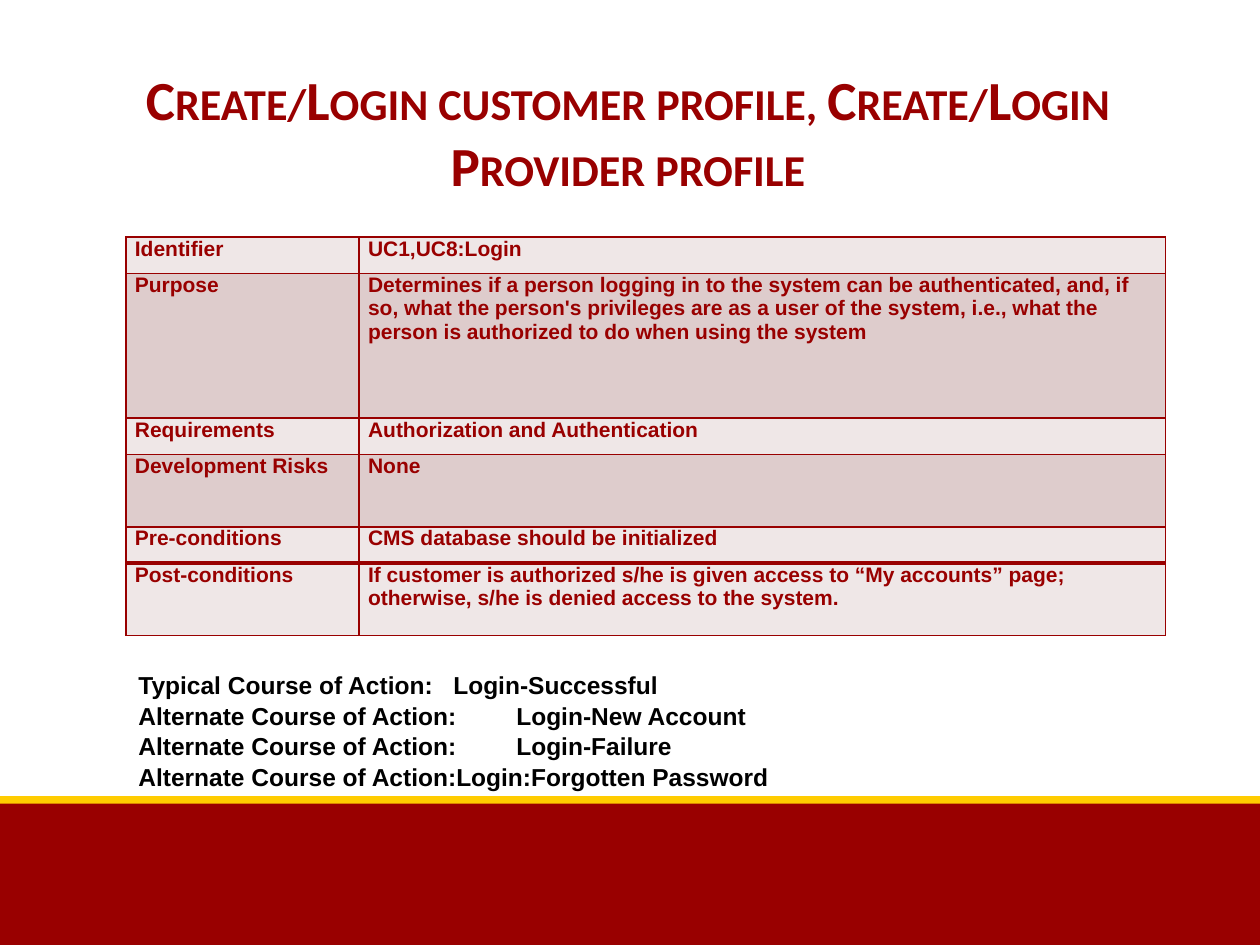
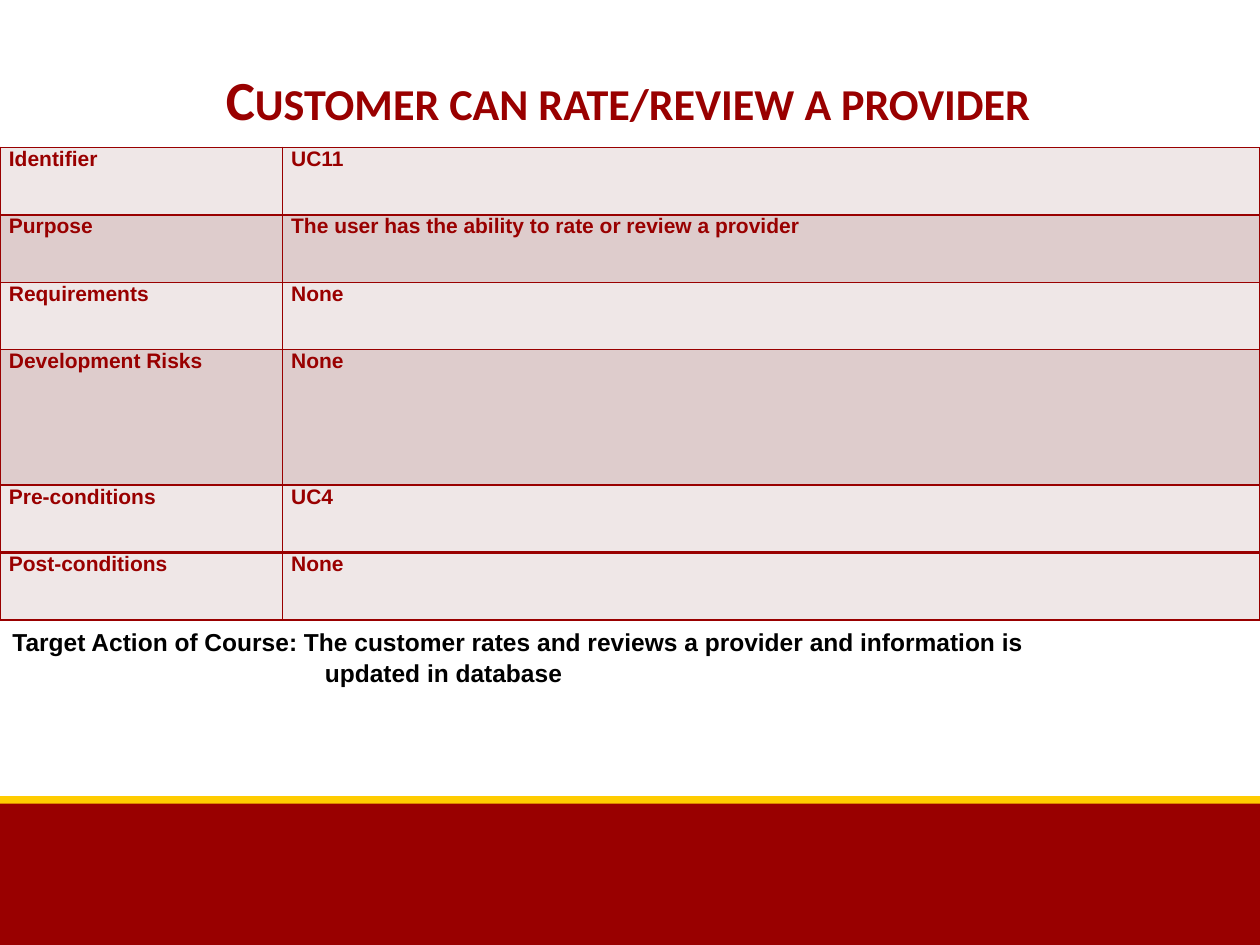
from dataclasses import dataclass

from lxml import etree
from pptx import Presentation
from pptx.dml.color import RGBColor
from pptx.enum.shapes import MSO_SHAPE
from pptx.enum.text import MSO_ANCHOR, PP_ALIGN
from pptx.oxml.ns import qn
from pptx.slide import Slide
from pptx.table import _Cell
from pptx.text.text import _Paragraph
from pptx.util import Cm, Pt

RECTANGLE = MSO_SHAPE.RECTANGLE
TOP = MSO_ANCHOR.TOP
LEFT, CENTER = PP_ALIGN.LEFT, PP_ALIGN.CENTER

CRIMSON = RGBColor(0x99, 0x00, 0x00)
GOLD = RGBColor(0xFF, 0xCC, 0x00)
BLACK = RGBColor(0x00, 0x00, 0x00)
PALE_ROW = RGBColor(0xEF, 0xE7, 0xE7)
DARK_ROW = RGBColor(0xDE, 0xCC, 0xCC)
ROW_FILLS = (PALE_ROW, DARK_ROW, PALE_ROW, DARK_ROW, PALE_ROW, PALE_ROW)

BODY_FONT, TITLE_FONT = "Arial", "Calibri"
ROW_LABELS = ("Identifier", "Purpose", "Requirements", "Development Risks",
              "Pre-conditions", "Post-conditions")
PAGE_WIDTH, PAGE_HEIGHT = 25.4, 19.05


@dataclass(frozen=True)
class Area:
    """A rectangle on the page, in centimetres."""
    left: float
    top: float
    width: float
    height: float


@dataclass(frozen=True)
class Band:
    """A full-width coloured strip of the footer."""
    area: Area
    color: RGBColor


@dataclass(frozen=True)
class ActionLine:
    """One line below the table, with an optional left indent."""
    text: str
    indent: float = 0


@dataclass(frozen=True)
class UseCase:
    """The content and measures of one use case page."""
    title: str
    table_area: Area
    label_width: float
    row_heights: tuple[float, ...]
    values: tuple[str, ...]
    action_area: Area
    actions: tuple[ActionLine, ...]


BANDS = (
    Band(Area(0, 16.13, PAGE_WIDTH, 2.92), CRIMSON),
    Band(Area(0, 16.05, PAGE_WIDTH, 0.15), GOLD),
)
TITLE_AREA = Area(1.19, 1.14, 22.94, 2.9)
ACTION_TAB = 8.5

USE_CASES = (
    UseCase(
        title="Create/Login customer profile, Create/Login Provider profile",
        table_area=Area(2.54, 4.78, 20.96, 8.05),
        label_width=4.7,
        row_heights=(0.73, 2.92, 0.73, 1.46, 0.73, 1.46),
        values=(
            "UC1,UC8:Login",
            "Determines if a person logging in to the system can be "
            "authenticated, and, if so, what the person's privileges are as a "
            "user of the system, i.e., what the person is authorized to do "
            "when using the system",
            "Authorization and Authentication",
            "None",
            "CMS database should be initialized",
            "If customer is authorized s/he is given access to “My accounts” "
            "page; otherwise, s/he is denied access to the system.",
        ),
        action_area=Area(2.54, 13.36, 20.96, 4.88),
        actions=(
            ActionLine("Typical Course of Action:\tLogin-Successful"),
            ActionLine("Alternate Course of Action:\tLogin-New Account"),
            ActionLine("Alternate Course of Action:\tLogin-Failure"),
            ActionLine("Alternate Course of Action:Login:Forgotten Password"),
        ),
    ),
    UseCase(
        title="Customer can rate/review a provider",
        table_area=Area(0, 2.97, PAGE_WIDTH, 9.55),
        label_width=5.69,
        row_heights=(1.36, 1.36, 1.36, 2.73, 1.36, 1.36),
        values=("UC11", "The user has the ability to rate or review a provider",
                "None", "None", "UC4", "None"),
        action_area=Area(0, 12.5, PAGE_WIDTH, 1.8),
        actions=(
            ActionLine("Target Action of Course: The customer rates and "
                       "reviews a provider and information is"),
            ActionLine("updated in database", indent=6.3),
        ),
    ),
)


def lengths(area: Area) -> tuple[Cm, Cm, Cm, Cm]:
    """Turn an area into left, top, width and height."""
    return Cm(area.left), Cm(area.top), Cm(area.width), Cm(area.height)


def write(para: _Paragraph, text: str, *, size: float, color: RGBColor,
          font: str = BODY_FONT, align: PP_ALIGN = LEFT,
          small_caps: bool = False) -> None:
    """Write bold text into a paragraph."""
    para.alignment = align
    span = para.add_run()
    span.text = text
    span.font.name = font
    span.font.size = Pt(size)
    span.font.bold = True
    span.font.color.rgb = color
    if small_caps:
        span.font._element.set("cap", "small")


def set_paragraph_layout(para: _Paragraph, indent: float, tab: float) -> None:
    """Give a paragraph its left indent, spacing and tab stop."""
    para.line_spacing = 1.04
    properties = para._p.get_or_add_pPr()
    properties.set("marL", str(Cm(indent)))
    properties.set("indent", "0")
    tabs = etree.SubElement(properties, qn("a:tabLst"))
    etree.SubElement(tabs, qn("a:tab"), pos=str(Cm(tab)), algn="l")


def add_band(page: Slide, band: Band) -> None:
    """Draw a footer strip."""
    shape = page.shapes.add_shape(RECTANGLE, *lengths(band.area))
    shape.shadow.inherit = False
    shape.fill.solid()
    shape.fill.fore_color.rgb = band.color
    shape.line.fill.background()


def add_title(page: Slide, title: str) -> None:
    """Draw the small-caps page title."""
    box = page.shapes.add_textbox(*lengths(TITLE_AREA))
    frame = box.text_frame
    frame.word_wrap = True
    frame.vertical_anchor = TOP
    frame.margin_top = Cm(0.17)
    write(frame.paragraphs[0], title, size=31.5, color=CRIMSON,
          font=TITLE_FONT, align=CENTER, small_caps=True)


def set_borders(cell: _Cell, top: float, bottom: float) -> None:
    """Draw the four borders of a cell, widths in points."""
    properties = cell._tc.get_or_add_tcPr()
    for side, width in (("L", 1), ("R", 1), ("T", top), ("B", bottom)):
        line = etree.SubElement(properties, qn(f"a:ln{side}"), w=str(Pt(width)))
        fill = etree.SubElement(line, qn("a:solidFill"))
        etree.SubElement(fill, qn("a:srgbClr"), val=str(CRIMSON))


def add_use_case_table(page: Slide, case: UseCase) -> None:
    """Draw the table of use case labels and values."""
    count = len(ROW_LABELS)
    table = page.shapes.add_table(count, 2, *lengths(case.table_area)).table
    table.first_row = table.horz_banding = False
    table.columns[0].width = Cm(case.label_width)
    table.columns[1].width = Cm(case.table_area.width - case.label_width)
    for index, texts in enumerate(zip(ROW_LABELS, case.values)):
        table.rows[index].height = Cm(case.row_heights[index])
        for column, text in enumerate(texts):
            cell = table.cell(index, column)
            cell.margin_left = cell.margin_right = Cm(0.18)
            cell.margin_top = cell.margin_bottom = 0
            set_borders(cell, top=2 if index == count - 1 else 1,
                        bottom=2 if index == count - 2 else 1)
            cell.fill.solid()
            cell.fill.fore_color.rgb = ROW_FILLS[index]
            write(cell.text_frame.paragraphs[0], text, size=12, color=CRIMSON)


def add_actions(page: Slide, case: UseCase) -> None:
    """Draw the courses of action below the table."""
    frame = page.shapes.add_textbox(*lengths(case.action_area)).text_frame
    frame.word_wrap = True
    for index, action in enumerate(case.actions):
        para = frame.add_paragraph() if index else frame.paragraphs[0]
        set_paragraph_layout(para, action.indent, ACTION_TAB)
        write(para, action.text, size=14, color=BLACK)


def main() -> None:
    """Build the use case deck."""
    deck = Presentation()
    deck.slide_width, deck.slide_height = Cm(PAGE_WIDTH), Cm(PAGE_HEIGHT)
    for case in USE_CASES:
        page = deck.slides.add_slide(deck.slide_layouts[6])
        for band in BANDS:
            add_band(page, band)
        add_title(page, case.title)
        add_use_case_table(page, case)
        add_actions(page, case)
    deck.save("out.pptx")


if __name__ == "__main__":
    main()
